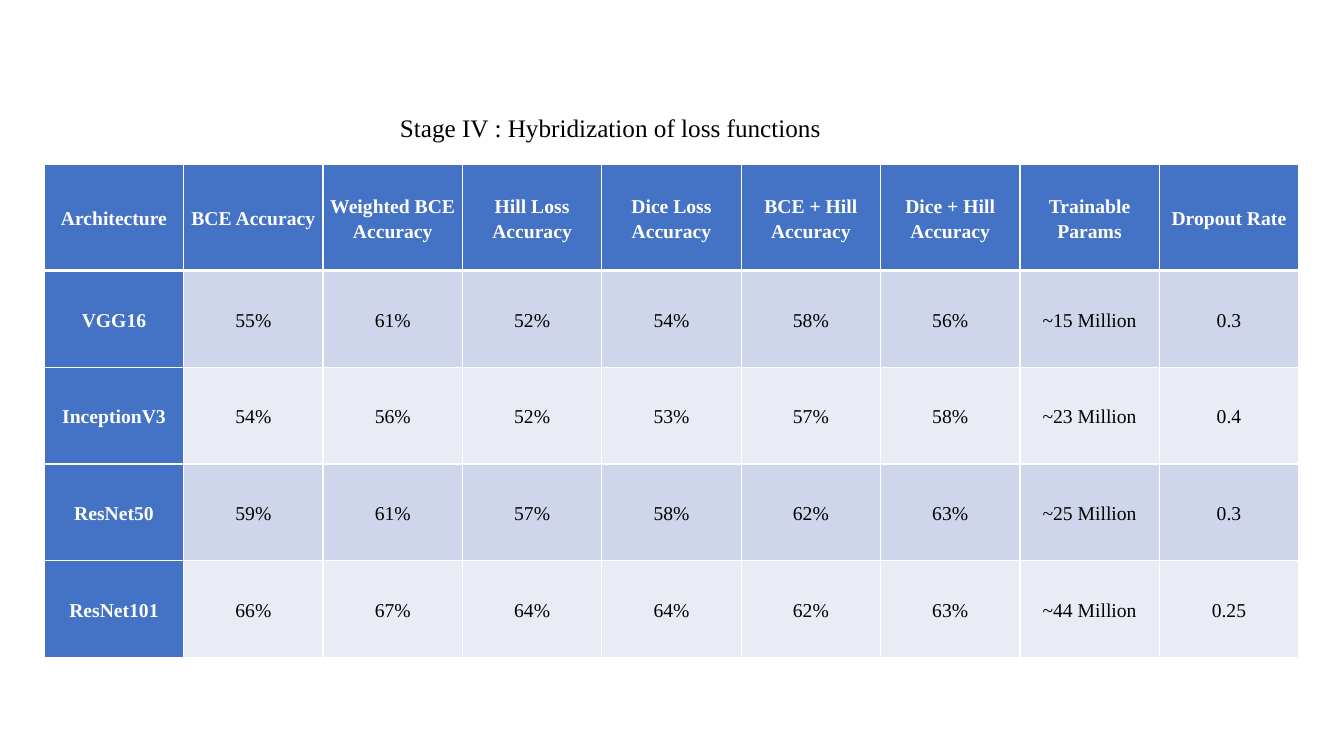
"""Build the slide comparing loss functions across architectures."""
from dataclasses import dataclass

from lxml.etree import SubElement as Sub
from pptx import Presentation
from pptx.dml.color import RGBColor
from pptx.enum.text import MSO_ANCHOR as Anchor, MSO_AUTO_SIZE as Fit, PP_ALIGN as Align
from pptx.oxml.ns import qn
from pptx.util import Inches, Pt

WHITE = RGBColor(0xFF, 0xFF, 0xFF)
BLACK = RGBColor(0x00, 0x00, 0x00)
BLUE = RGBColor(0x44, 0x72, 0xC4)
BANDS = (RGBColor(0xCF, 0xD5, 0xEA), RGBColor(0xE9, 0xEB, 0xF5))
FONT = "Times New Roman"
WIDE, HIGH = Inches(13.33), Inches(7.5)
INSET = Inches(0.01)


@dataclass(frozen=True)
class Box:
    """Area given in shares of the slide's size."""
    left: float
    top: float
    width: float
    height: float

    def place(self) -> tuple[int, int, int, int]:
        """Return the area in slide units."""
        return (int(self.left * WIDE), int(self.top * HIGH),
                int(self.width * WIDE), int(self.height * HIGH))


@dataclass(frozen=True)
class Model:
    """Results of one architecture."""
    name: str
    scores: tuple[int, ...]
    params: int
    drop: float

    def texts(self) -> list[str]:
        """Return the row's cell texts."""
        return [self.name, *(f"{score}%" for score in self.scores),
                f"~{self.params} Million", str(self.drop)]


TITLE = Box(0.29, 0.1413, 0.5, 0.0533)
GRID = Box(0.033, 0.2177, 0.9333, 0.652)
HEAD_SHARE = 0.215
HEADS = ["Architecture", "BCE Accuracy", "Weighted BCE Accuracy",
         "Hill Loss Accuracy", "Dice Loss Accuracy", "BCE + Hill\nAccuracy",
         "Dice + Hill\nAccuracy", "Trainable Params", "Dropout Rate"]
MODELS = [
    Model("VGG16", (55, 61, 52, 54, 58, 56), 15, 0.3),
    Model("InceptionV3", (54, 56, 52, 53, 57, 58), 23, 0.4),
    Model("ResNet50", (59, 61, 57, 58, 62, 63), 25, 0.3),
    Model("ResNet101", (66, 67, 64, 64, 62, 63), 44, 0.25),
]


def edge(cell, side: str, size: float) -> None:
    """Add a white border to one side of a cell."""
    line = Sub(cell._tc.get_or_add_tcPr(), qn(f"a:{side}"), w=str(Pt(size)))
    fill = Sub(line, qn("a:solidFill"))
    Sub(fill, qn("a:srgbClr"), val=str(WHITE))


def style(cell, text: str, row: int, col: int) -> None:
    """Fill and format one cell by its place in the grid."""
    strong = row == 0 or col == 0
    cell.text = text
    cell.vertical_anchor = Anchor.MIDDLE
    cell.margin_left = cell.margin_right = INSET
    cell.margin_top = cell.margin_bottom = INSET
    for side in ("lnL", "lnR", "lnT", "lnB"):
        thick = (row, side) in ((0, "lnB"), (1, "lnT"))
        edge(cell, side, 3 if thick else 1)
    cell.fill.solid()
    cell.fill.fore_color.rgb = BLUE if strong else BANDS[(row - 1) % 2]
    for para in cell.text_frame.paragraphs:
        para.alignment = Align.CENTER
        para.line_spacing = 1.15
        para.font.name, para.font.size = FONT, Pt(14)
        para.font.bold = strong
        para.font.color.rgb = WHITE if strong else BLACK


def add_title(slide, text: str) -> None:
    """Place and format the slide's title."""
    title = slide.shapes.title
    title.left, title.top, title.width, title.height = TITLE.place()
    frame = title.text_frame
    frame.text = text
    frame.word_wrap = True
    frame.auto_size = Fit.SHAPE_TO_FIT_TEXT
    frame.vertical_anchor = Anchor.TOP
    para = frame.paragraphs[0]
    para.alignment = Align.LEFT
    para.font.name, para.font.size = FONT, Pt(18)
    para.font.color.rgb = BLACK


def add_grid(slide) -> None:
    """Draw the table of results."""
    rows = [HEADS, *(model.texts() for model in MODELS)]
    left, top, width, height = GRID.place()
    table = slide.shapes.add_table(len(rows), len(HEADS), left, top, width, height).table
    table.first_col = True
    head = int(height * HEAD_SHARE)
    for col in table.columns:
        col.width = width // len(HEADS)
    for num, texts in enumerate(rows):
        table.rows[num].height = (height - head) // len(MODELS) if num else head
        for col, text in enumerate(texts):
            style(table.cell(num, col), text, num, col)


def main() -> None:
    """Build and save the deck."""
    deck = Presentation()
    deck.slide_width, deck.slide_height = WIDE, HIGH
    slide = deck.slides.add_slide(deck.slide_layouts[5])
    add_title(slide, "Stage IV : Hybridization of loss functions")
    add_grid(slide)
    deck.save("out.pptx")


if __name__ == "__main__":
    main()
